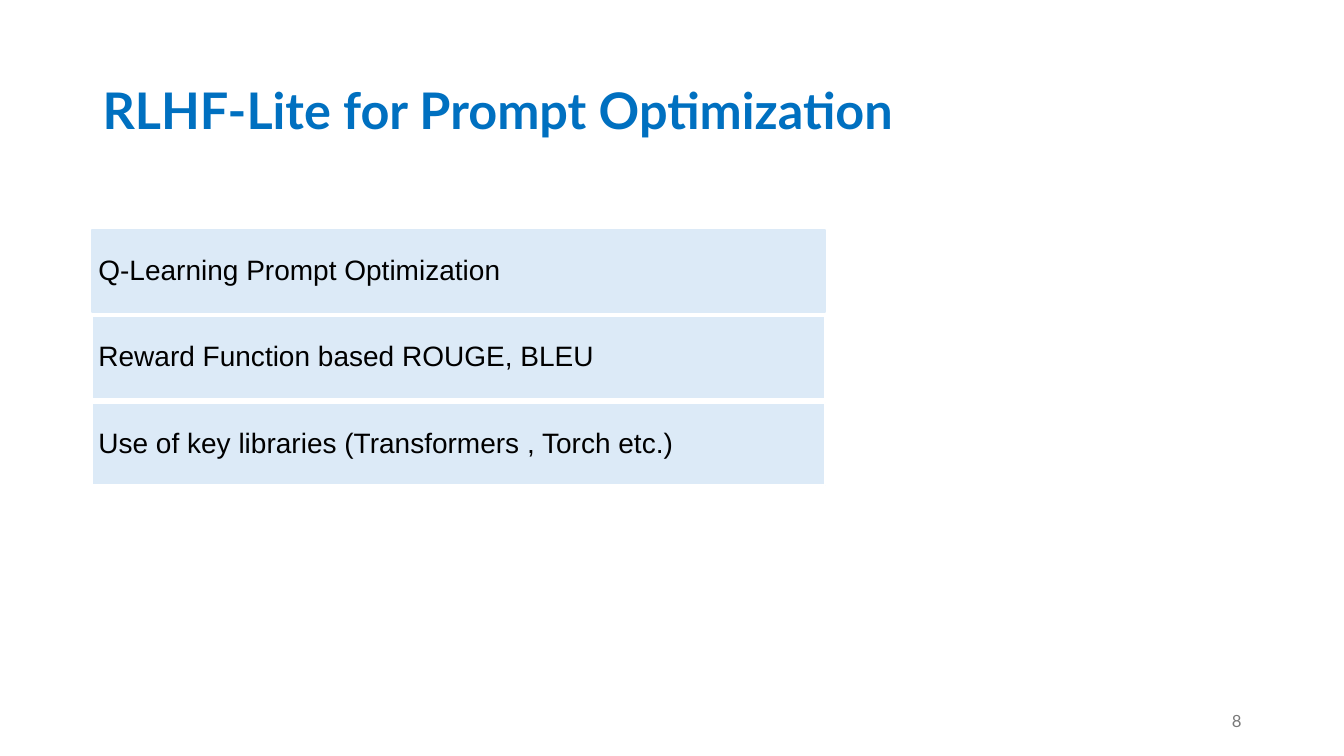
from dataclasses import dataclass

from pptx import Presentation
from pptx.dml.color import RGBColor
from pptx.enum.shapes import MSO_SHAPE
from pptx.enum.text import MSO_ANCHOR, MSO_AUTO_SIZE, PP_ALIGN
from pptx.shapes.autoshape import Shape
from pptx.slide import Slide
from pptx.util import Cm, Pt

RECTANGLE = MSO_SHAPE.RECTANGLE
MIDDLE = MSO_ANCHOR.MIDDLE
NO_FIT = MSO_AUTO_SIZE.NONE
LEFT, RIGHT = PP_ALIGN.LEFT, PP_ALIGN.RIGHT

BLUE, GREY, BLACK = "0070C0", "797979", "000000"
PALE_BLUE, WHITE = "DCEAF7", "FFFFFF"

# Shared measures in centimetres
MARGIN = 2.33
BAR_TOP, BAR_WIDTH, BAR_HEIGHT, BAR_PITCH = 5.79, 18.47, 2.08, 2.18
BAR_INSET = 0.15

TITLE_FORMAT = {"name": "Lato", "size": Pt(36), "bold": True}
NUMBER_FORMAT = {"name": "Lato", "size": Pt(12)}
BAR_FORMAT = {"name": "Arial", "size": Pt(20)}


@dataclass
class Bar:
    text: str
    outline: str


BARS = [
    Bar("Q-Learning Prompt Optimization", PALE_BLUE),
    Bar("Reward Function based ROUGE, BLEU", WHITE),
    Bar("Use of key libraries (Transformers , Torch etc.)", WHITE),
]


def color(value: str) -> RGBColor:
    return RGBColor.from_string(value)


def write(box: Shape, text: str, font_format: dict, ink: str,
          align: PP_ALIGN = LEFT, spacing: float = 0.9) -> None:
    frame = box.text_frame
    frame.word_wrap = True
    frame.auto_size = NO_FIT
    frame.vertical_anchor = MIDDLE
    para = frame.paragraphs[0]
    para.alignment = align
    para.line_spacing = spacing
    span = para.add_run()
    span.text = text
    for name, value in font_format.items():
        setattr(span.font, name, value)
    span.font.color.rgb = color(ink)


def add_title(page: Slide, text: str) -> None:
    title = page.shapes.title
    title.left, title.top = Cm(MARGIN), Cm(1.02)
    title.width, title.height = Cm(29.21), Cm(3.68)
    write(title, text, TITLE_FORMAT, BLUE)


def add_bar(page: Slide, bar: Bar, top: float) -> None:
    box = page.shapes.add_shape(
        RECTANGLE, Cm(MARGIN), Cm(top), Cm(BAR_WIDTH), Cm(BAR_HEIGHT))
    box.shadow.inherit = False
    box.fill.solid()
    box.fill.fore_color.rgb = color(PALE_BLUE)
    box.line.color.rgb = color(bar.outline)
    box.line.width = Pt(1.5)
    for side in ("left", "top", "right", "bottom"):
        setattr(box.text_frame, f"margin_{side}", Cm(BAR_INSET))
    write(box, bar.text, BAR_FORMAT, BLACK)


def add_page_number(page: Slide, number: str) -> None:
    box = page.shapes.add_textbox(Cm(23.92), Cm(17.65), Cm(7.62), Cm(1.01))
    write(box, number, NUMBER_FORMAT, GREY, RIGHT, 1.0)


def main() -> None:
    deck = Presentation()
    deck.slide_width, deck.slide_height = Cm(33.87), Cm(19.05)
    page = deck.slides.add_slide(deck.slide_layouts.get_by_name("Title Only"))

    # Heading
    add_title(page, "RLHF-Lite for Prompt Optimization")

    # Stack of key points
    for index, bar in enumerate(BARS):
        add_bar(page, bar, BAR_TOP + index * BAR_PITCH)

    # Footer
    add_page_number(page, "8")

    deck.save("out.pptx")


if __name__ == "__main__":
    main()
